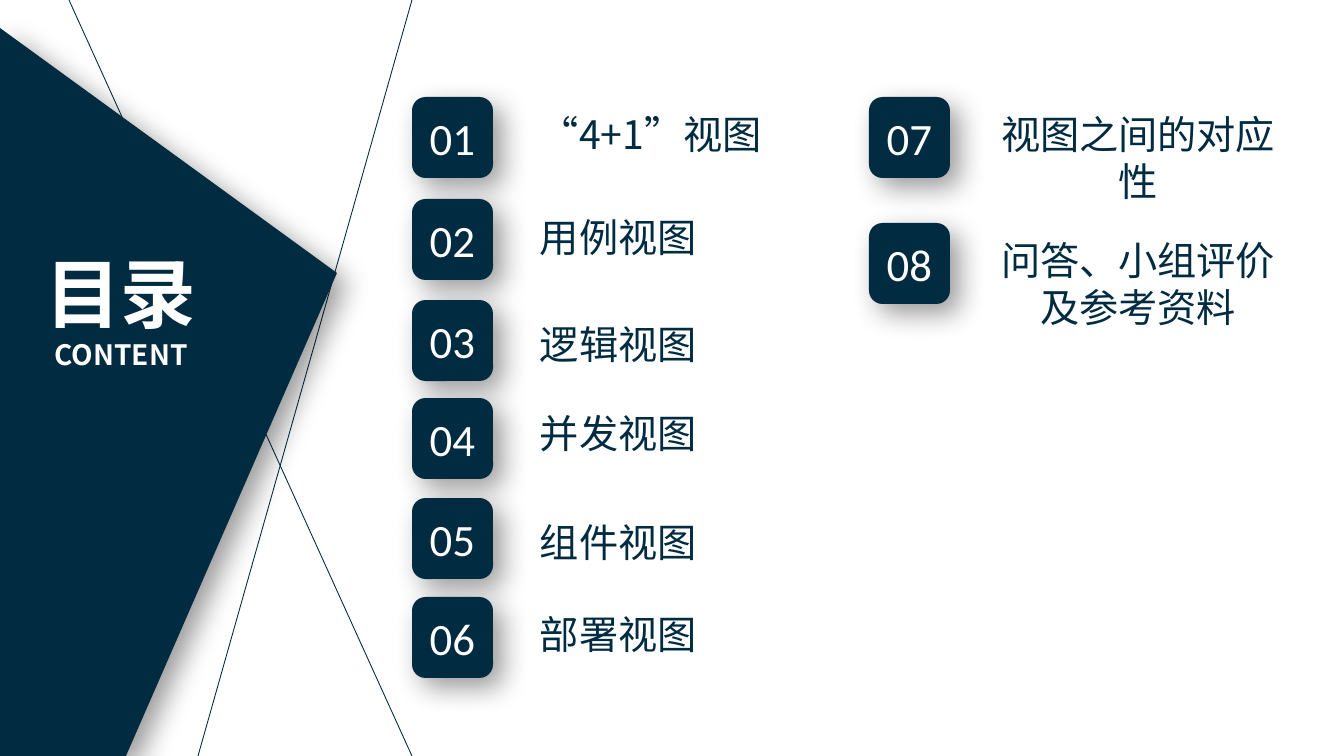
from lxml import etree
from pptx import Presentation, util as u
from pptx.dml.color import RGBColor
from pptx.enum import lang, shapes, text
from pptx.oxml.ns import qn

PX = 914400 / 100.8
COLORS = {"navy": "002B41", "white": "FFFFFF", "shadow": "000000"}
CJK, LATIN = "Noto Sans CJK SC", "Calibri"
SLIDE = (1344, 756)
BADGE = 81
LABEL = (320, 57)

HEADING = ("目录", "CONTENT")
HEADING_BOX = (24, 242, 194, 136)
PANEL = [(0, 28), (337, 273), (126, 756), (0, 756)]
RAYS = [((412, 0), (198, 756)), ((412, 756), (69, 0))]

# Each column: badge left, label left, alignment, (text, badge top, label top)
COLUMNS = [
    (412, 530, text.PP_ALIGN.LEFT, [
        ("“4+1”视图", 97, 105),
        ("用例视图", 199, 208),
        ("逻辑视图", 300, 315),
        ("并发视图", 398, 404),
        ("组件视图", 498, 513),
        ("部署视图", 597, 605),
    ]),
    (869, 978, text.PP_ALIGN.CENTER, [
        ("视图之间的对应性", 97, 105),
        ("问答、小组评价及参考资料", 223, 231),
    ]),
]


def emu(*pixels):
    """Turn pixel lengths into EMU."""
    return [u.Emu(round(pixel * PX)) for pixel in pixels]


def rgb(name):
    """Look up a colour by name."""
    return RGBColor.from_string(COLORS[name])


def add_text(para, words, size, color, font=CJK, bold=False, align=text.PP_ALIGN.LEFT):
    """Write one formatted run into a paragraph."""
    para.alignment = align
    span = para.add_run()
    span.text = words
    span.font.name, span.font.size, span.font.bold = font, u.Pt(size), bold
    span.font.language_id = lang.MSO_LANGUAGE_ID.SIMPLIFIED_CHINESE
    span.font.color.rgb = rgb(color)
    east_asian = etree.SubElement(span.font._element, qn("a:ea"))
    east_asian.set("typeface", font)


def paint(shape):
    """Fill a shape with navy and give it a soft shadow."""
    shape.fill.solid()
    shape.fill.fore_color.rgb = rgb("navy")
    shape.line.fill.background()
    shape.shadow.inherit = False
    effects = shape._element.spPr.find(qn("a:effectLst"))
    shadow = etree.SubElement(effects, qn("a:outerShdw"), blurRad=str(u.Pt(20)),
                              dist=str(u.Pt(10)), dir="2700000", algn="tl", rotWithShape="0")
    color = etree.SubElement(shadow, qn("a:srgbClr"), val=COLORS["shadow"])
    etree.SubElement(color, qn("a:alpha"), val="40000")


def add_ray(page, start, end):
    """Draw a thin line across the slide."""
    ray = page.shapes.add_connector(shapes.MSO_CONNECTOR.STRAIGHT, *emu(*start, *end))
    ray.line.color.rgb = rgb("navy")
    ray.line.width = u.Pt(0.63)
    etree.SubElement(ray._element.spPr, qn("a:effectLst"))


def add_panel(page):
    """Draw the pointed panel on the left."""
    builder = page.shapes.build_freeform(*PANEL[0], scale=PX)
    builder.add_line_segments(PANEL[1:], close=True)
    paint(builder.convert_to_shape())


def add_heading(page):
    """Set the title over the panel."""
    title = page.shapes.title
    title.left, title.top, title.width, title.height = emu(*HEADING_BOX)
    title._element.getparent().append(title._element)
    frame = title.text_frame
    frame.auto_size = text.MSO_AUTO_SIZE.NONE
    frame.vertical_anchor = text.MSO_ANCHOR.TOP
    style = {"color": "white", "bold": True, "align": text.PP_ALIGN.CENTER}
    add_text(frame.paragraphs[0], HEADING[0], 54, **style)
    add_text(frame.add_paragraph(), HEADING[1], 20, **style)


def add_badge(page, number, left, top):
    """Draw a rounded square with its two-digit number."""
    badge = page.shapes.add_shape(shapes.MSO_SHAPE.ROUNDED_RECTANGLE,
                                  *emu(left, top, BADGE, BADGE))
    paint(badge)
    frame = badge.text_frame
    frame.margin_left = frame.margin_right = 0
    frame.vertical_anchor = text.MSO_ANCHOR.MIDDLE
    add_text(frame.paragraphs[0], f"{number:02d}", 32, "white", font=LATIN,
             align=text.PP_ALIGN.CENTER)


def add_label(page, words, left, top, align):
    """Write the name of one section."""
    box = page.shapes.add_textbox(*emu(left, top, *LABEL))
    box.text_frame.word_wrap = True
    add_text(box.text_frame.paragraphs[0], words, 28, "navy", align=align)


deck = Presentation()
deck.slide_width, deck.slide_height = emu(*SLIDE)
page = deck.slides.add_slide(deck.slide_layouts[5])

for start, end in RAYS:
    add_ray(page, start, end)
add_panel(page)
add_heading(page)

number = 0
for badge_left, label_left, align, rows in COLUMNS:
    for words, badge_top, label_top in rows:
        number += 1
        add_badge(page, number, badge_left, badge_top)
        add_label(page, words, label_left, label_top, align)

deck.save("out.pptx")
